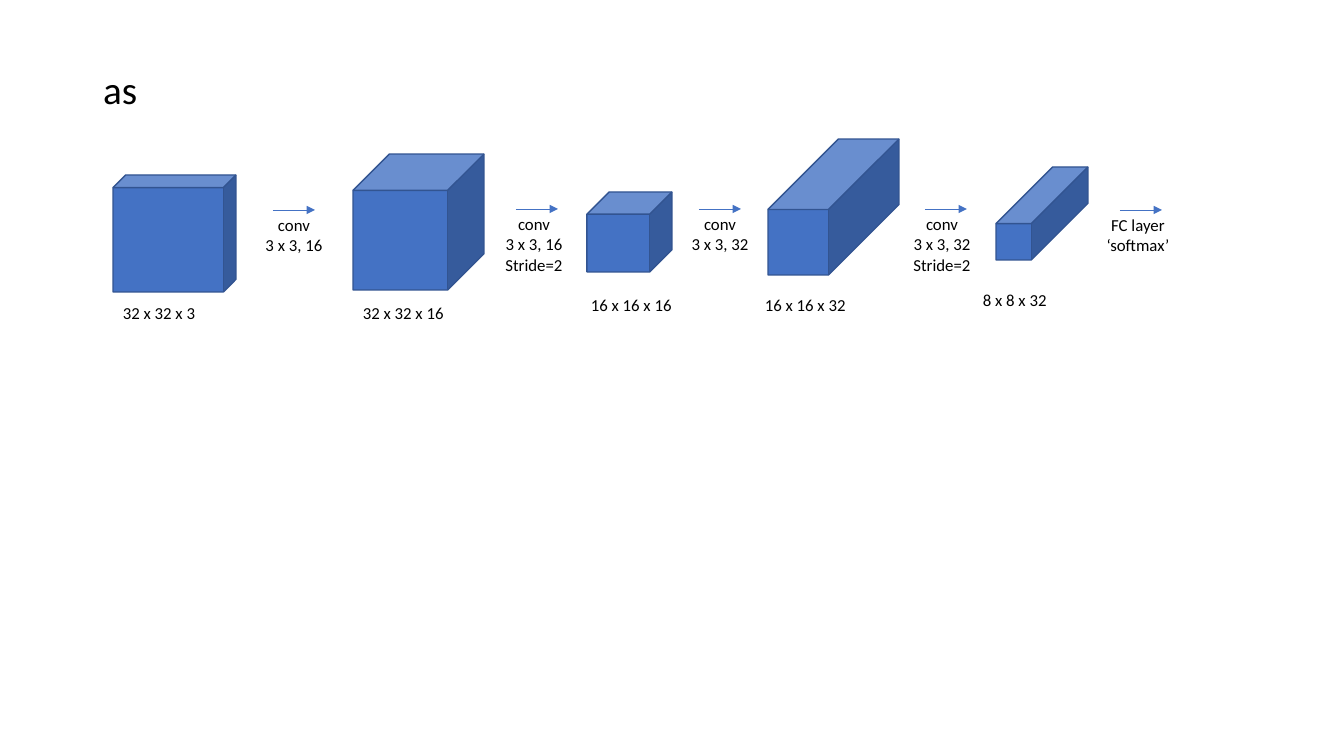
"""Build a slide showing a convolutional network as a row of cubes and arrows."""
from lxml.etree import SubElement
from pptx import Presentation
from pptx.dml.color import RGBColor
from pptx.enum.shapes import MSO_CONNECTOR as Connector, MSO_SHAPE as Shape
from pptx.enum.text import MSO_ANCHOR as Anchor, MSO_AUTO_SIZE as AutoSize, PP_ALIGN as Align
from pptx.oxml.ns import qn
from pptx.util import Emu, Pt

HEADING = "as"
HEADING_BOX = (93, 66, 1159, 624)
VOLUMES = [
    ("32 x 32 x 3", (113, 175, 123, 117), 0.108, (113, 298, 100, 30)),
    ("32 x 32 x 16", (353, 154, 131, 136), 0.278, (353, 298, 112, 30)),
    ("16 x 16 x 16", (587, 192, 85, 80), 0.278, (581, 290, 112, 30)),
    ("16 x 16 x 32", (768, 139, 131, 136), 0.538, (755, 290, 112, 30)),
    ("8 x 8 x 32", (996, 167, 92, 93), 0.616, (973, 285, 112, 30)),
]
STEPS = [
    (["conv", "3 x 3, 16"], 248, 273, 210),
    (["conv", "3 x 3, 16", "Stride=2"], 488, 516, 209),
    (["conv", "3 x 3, 32"], 674, 699, 209),
    (["conv", "3 x 3, 32", "Stride=2"], 896, 925, 209),
    (["FC layer", "‘softmax’"], 1092, 1120, 210),
]
STEP_WIDTH, ARROW_LENGTH, LINE_HEIGHT, PADDING = 92, 42, 21, 9
BLUE, EDGE, BLACK = "4472C4", "325491", "000000"
HEADING_FORMAT = {"alignment": Align.LEFT, "line_spacing": 0.9, "space_before": Pt(10)}
LABEL_FORMAT = {"alignment": Align.LEFT}
STEP_FORMAT = {"alignment": Align.CENTER}


def px(*lengths):
    return [Emu(round(length * 914400 / 100.8)) for length in lengths]


def color(hex_code):
    return RGBColor.from_string(hex_code)


def apply(target, values):
    for name, value in values.items():
        setattr(target, name, value)


def write(holder, lines, size, paragraph_format, auto_size):
    frame = holder.text_frame
    frame.text = "\n".join(lines)
    apply(frame, {"word_wrap": True, "auto_size": auto_size, "vertical_anchor": Anchor.TOP})
    for paragraph in frame.paragraphs:
        apply(paragraph, paragraph_format)
        for run in paragraph.runs:
            apply(run.font, {"name": "Calibri", "size": Pt(size)})
            run.font.color.rgb = color(BLACK)


def add_heading(slide):
    heading = slide.placeholders[1]
    apply(heading, dict(zip(("left", "top", "width", "height"), px(*HEADING_BOX))))
    write(heading, [HEADING], 28, HEADING_FORMAT, AutoSize.NONE)
    properties = heading.text_frame.paragraphs[0]._p.get_or_add_pPr()
    properties.set("marL", "0")
    properties.set("indent", "0")
    SubElement(properties, qn("a:buNone"))


def add_caption(slide, lines, box, paragraph_format):
    caption = slide.shapes.add_textbox(*px(*box))
    write(caption, lines, 12, paragraph_format, AutoSize.SHAPE_TO_FIT_TEXT)


def add_volume(slide, dimensions, box, depth, label_box):
    cube = slide.shapes.add_shape(Shape.CUBE, *px(*box))
    cube.adjustments[0] = depth
    cube.shadow.inherit = False
    cube.fill.solid()
    cube.fill.fore_color.rgb = color(BLUE)
    cube.line.color.rgb = color(EDGE)
    cube.line.width = Pt(1)
    add_caption(slide, [dimensions], label_box, LABEL_FORMAT)


def add_step(slide, lines, left, arrow_left, top):
    height = LINE_HEIGHT * len(lines) + PADDING
    add_caption(slide, lines, (left, top, STEP_WIDTH, height), STEP_FORMAT)
    ends = px(arrow_left, top, arrow_left + ARROW_LENGTH, top)
    arrow = slide.shapes.add_connector(Connector.STRAIGHT, *ends)
    arrow.line.color.rgb = color(BLUE)
    arrow.line.width = Pt(0.5)
    SubElement(arrow.line._get_or_add_ln(), qn("a:tailEnd"), type="triangle")
    SubElement(arrow._element.spPr, qn("a:effectLst"))


deck = Presentation()
deck.slide_width, deck.slide_height = px(1344, 756)
network = deck.slides.add_slide(deck.slide_layouts[1])
title = network.shapes.title._element
title.getparent().remove(title)
add_heading(network)
for volume, step in zip(VOLUMES, STEPS):
    add_volume(network, *volume)
    add_step(network, *step)
deck.save("out.pptx")
